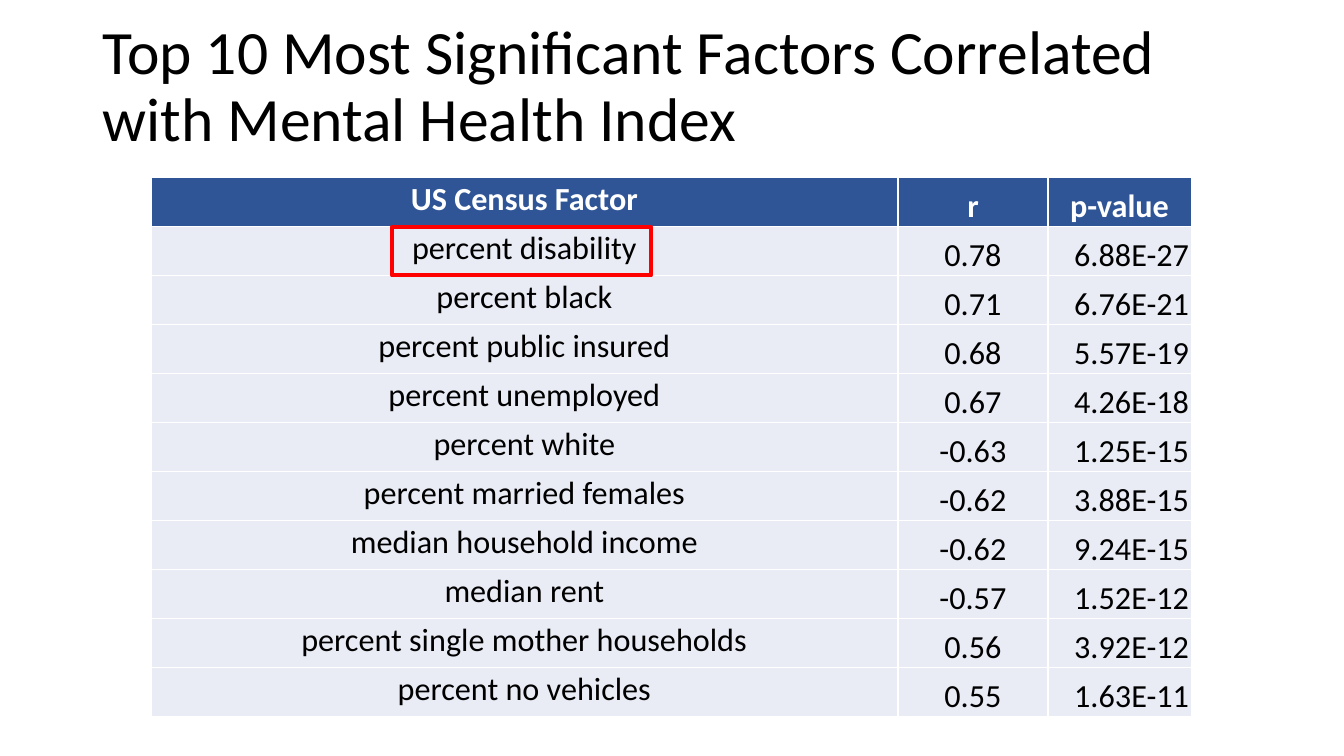
from dataclasses import dataclass

from lxml import etree
from pptx import Presentation
from pptx.dml.color import RGBColor
from pptx.enum.shapes import MSO_SHAPE
from pptx.enum.text import MSO_ANCHOR, MSO_AUTO_SIZE, PP_ALIGN
from pptx.oxml import parse_xml
from pptx.oxml.ns import nsdecls
from pptx.util import Cm, Pt

LEFT, CENTER, RIGHT = PP_ALIGN.LEFT, PP_ALIGN.CENTER, PP_ALIGN.RIGHT
TOP, MIDDLE, BOTTOM = MSO_ANCHOR.TOP, MSO_ANCHOR.MIDDLE, MSO_ANCHOR.BOTTOM
RECTANGLE, NO_AUTOFIT = MSO_SHAPE.RECTANGLE, MSO_AUTO_SIZE.NONE


@dataclass(frozen=True)
class Theme:
    font: str = "Calibri"
    title_size: int = 44
    table_size: int = 23
    text: str = "000000"
    white: str = "FFFFFF"
    header: str = "2F5597"
    band: str = "E9EBF5"
    highlight: str = "FF0000"


theme = Theme()


def write(tf, text, size, color=theme.text, bold=False, align=LEFT):
    p = tf.paragraphs[0]
    p.alignment = align
    r = p.add_run()
    r.text = text
    r.font.name = theme.font
    r.font.size = Pt(size)
    r.font.bold = bold
    r.font.color.rgb = RGBColor.from_string(color)
    return p


def add_borders(cell, color, width):
    tcPr = cell._tc.get_or_add_tcPr()
    for side in ("lnL", "lnR", "lnT", "lnB"):
        ln = parse_xml(f'<a:{side} {nsdecls("a")} w="{Pt(width)}"><a:solidFill/></a:{side}>')
        etree.SubElement(ln[0], ln[0].tag.replace("solidFill", "srgbClr"), val=color)
        tcPr.append(ln)


# Slide
prs = Presentation()
prs.slide_width, prs.slide_height = Cm(33.87), Cm(19.05)
slide = prs.slides.add_slide(prs.slide_layouts[5])

# Title
title = slide.shapes.title
title.left, title.top, title.width, title.height = Cm(2.33), Cm(0.5), Cm(29.21), Cm(3.43)
tf = title.text_frame
tf.word_wrap = True
tf.auto_size = NO_AUTOFIT
tf.vertical_anchor = MIDDLE
p = write(tf, "Top 10 Most Significant Factors Correlated with Mental Health Index",
          theme.title_size)
p.line_spacing = 0.9

# Factor table
factors = [
    ("US Census Factor", "r", "p-value"),
    ("percent disability", "0.78", "6.88E-27"),
    ("percent black", "0.71", "6.76E-21"),
    ("percent public insured", "0.68", "5.57E-19"),
    ("percent unemployed", "0.67", "4.26E-18"),
    ("percent white", "-0.63", "1.25E-15"),
    ("percent married females", "-0.62", "3.88E-15"),
    ("median household income", "-0.62", "9.24E-15"),
    ("median rent", "-0.57", "1.52E-12"),
    ("percent single mother households", "0.56", "3.92E-12"),
    ("percent no vehicles", "0.55", "1.63E-11"),
]
col_widths = (18.82, 3.78, 3.61)
table = slide.shapes.add_table(len(factors), len(col_widths), Cm(3.81), Cm(4.47),
                               Cm(sum(col_widths)), Cm(13.59)).table
table.horz_banding = False
for column, width in zip(table.columns, col_widths):
    column.width = Cm(width)

for i, row in enumerate(factors):
    is_header = i == 0
    for j, text in enumerate(row):
        cell = table.cell(i, j)
        cell.margin_left = cell.margin_right = cell.margin_top = Cm(0.05)
        cell.margin_bottom = 0
        cell.vertical_anchor = TOP if j == 0 else BOTTOM
        add_borders(cell, theme.white, 1)
        cell.fill.solid()
        cell.fill.fore_color.rgb = RGBColor.from_string(theme.header if is_header else theme.band)
        write(cell.text_frame, text, theme.table_size,
              color=theme.white if is_header else theme.text, bold=is_header,
              align=RIGHT if j == 2 and not is_header else CENTER)

# Highlight around the strongest factor
sp = slide.shapes.add_shape(RECTANGLE, Cm(9.88), Cm(5.72), Cm(6.53), Cm(1.22))
sp.shadow.inherit = False
sp.fill.background()
sp.line.color.rgb = RGBColor.from_string(theme.highlight)
sp.line.width = Pt(3)

prs.save("out.pptx")
